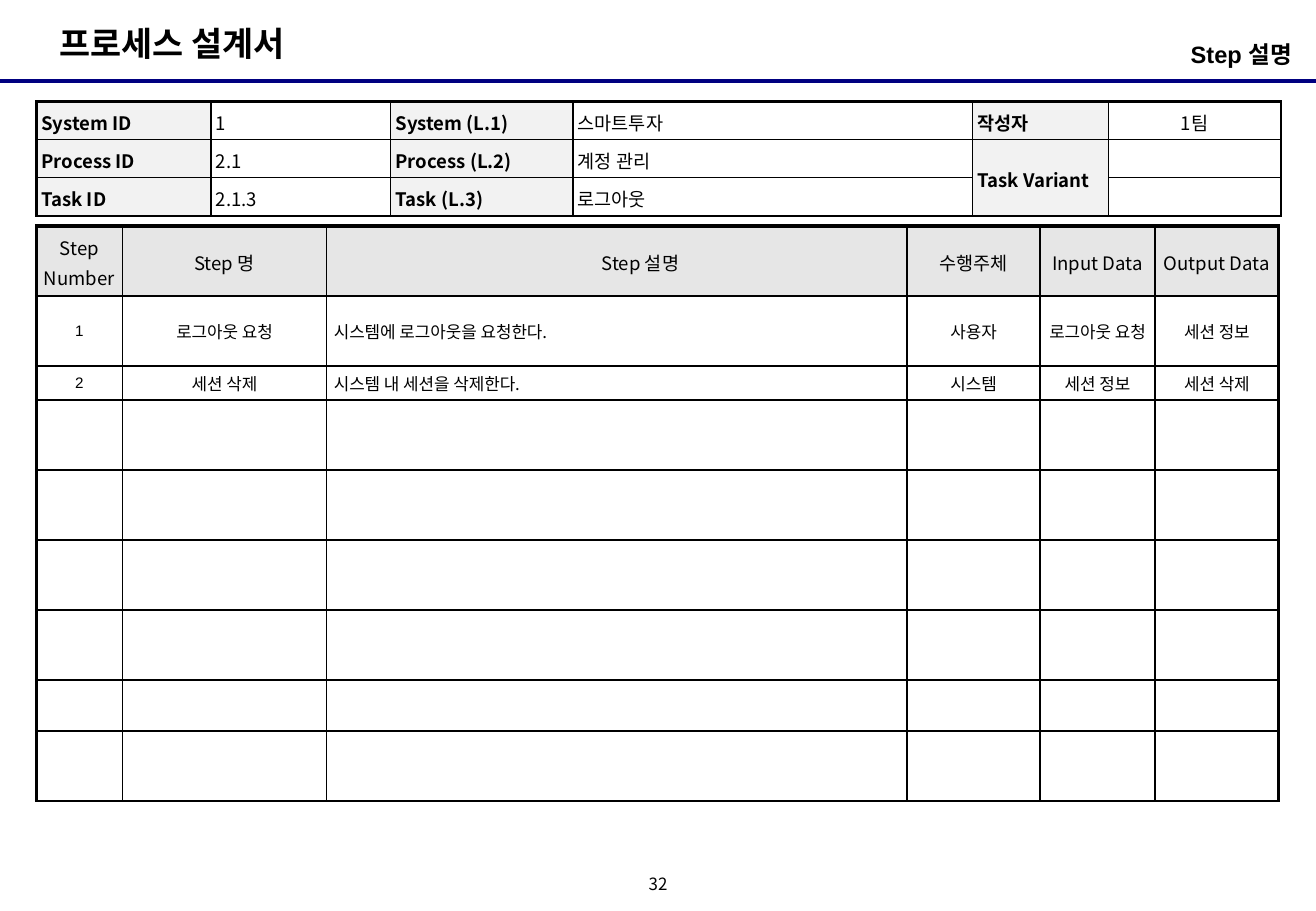
from lxml import etree
from pptx import Presentation
from pptx.dml.color import RGBColor
from pptx.enum.shapes import MSO_CONNECTOR
from pptx.enum.text import MSO_ANCHOR, MSO_AUTO_SIZE, PP_ALIGN
from pptx.oxml.ns import qn
from pptx.util import Pt

LEFT, CENTER, RIGHT = PP_ALIGN.LEFT, PP_ALIGN.CENTER, PP_ALIGN.RIGHT
TOP, MIDDLE = MSO_ANCHOR.TOP, MSO_ANCHOR.MIDDLE
NO_AUTOFIT = MSO_AUTO_SIZE.NONE
STRAIGHT = MSO_CONNECTOR.STRAIGHT

BLACK = RGBColor(0x00, 0x00, 0x00)
NAVY = RGBColor(0x00, 0x00, 0x80)
LABEL_GREY = RGBColor(0xF2, 0xF2, 0xF2)
HEADER_GREY = RGBColor(0xE6, 0xE6, 0xE6)

KOREAN_FONT = "Noto Sans CJK KR"
LATIN_FONT = "Arial"

PAGE_WIDTH, PAGE_HEIGHT = 780, 540
TABLE_LEFT = 21.6

INFO_COLUMNS = [103.5, 106.5, 108, 237, 80.5, 102]
INFO_ROWS = [22.5] * 3
INFO_TEXT = [
    ["System ID", "1", "System (L.1)", "스마트투자", "작성자", "1팀"],
    ["Process ID", "2.1", "Process (L.2)", "계정 관리", "Task Variant", ""],
    ["Task ID", "2.1.3", "Task (L.3)", "로그아웃", "", ""],
]

STEP_COLUMNS = [51, 121, 344, 79, 68, 73.5]
STEP_ROWS = [41.5, 41.5, 20.2] + [41.5] * 4 + [30.2, 41.5]
STEP_HEADERS = ["Step Number", "Step 명", "Step 설명", "수행주체", "Input Data", "Output Data"]
STEP_TEXT = [
    ["1", "로그아웃 요청", "시스템에 로그아웃을 요청한다.", "사용자", "로그아웃 요청", "세션 정보"],
    ["2", "세션 삭제", "시스템 내 세션을 삭제한다.", "시스템", "세션 정보", "세션 삭제"],
]


def write_text(frame, text, size=10, font=KOREAN_FONT, bold=False, align=LEFT,
               spacing=1.0, indent=0):
    para = frame.paragraphs[0]
    para.alignment = align
    para.line_spacing = spacing
    para.space_before = Pt(0)
    properties = para._p.get_or_add_pPr()
    properties.set("marL", str(Pt(indent)))
    properties.set("indent", "0")
    if not text:
        # An empty cell keeps its small text size
        etree.SubElement(para._p, qn("a:endParaRPr"), sz=str(size * 100))
        return
    etree.SubElement(properties, qn("a:buNone"))
    span = para.add_run()
    span.text = text
    span.font.size = Pt(size)
    span.font.bold = bold
    span.font.color.rgb = BLACK
    span.font.name = font
    etree.SubElement(span._r.get_or_add_rPr(), qn("a:ea"), typeface=KOREAN_FONT)


def place_box(box, left, top, width, height, insets, anchor=TOP):
    box.left, box.top, box.width, box.height = Pt(left), Pt(top), Pt(width), Pt(height)
    frame = box.text_frame
    frame.word_wrap = True
    frame.auto_size = NO_AUTOFIT
    frame.vertical_anchor = anchor
    (frame.margin_left, frame.margin_top,
     frame.margin_right, frame.margin_bottom) = map(Pt, insets)
    return frame


def add_rule(page, top):
    rule = page.shapes.add_connector(STRAIGHT, 0, Pt(top), Pt(PAGE_WIDTH), Pt(top))
    rule.line.color.rgb = NAVY
    rule.line.width = Pt(2.25)
    etree.SubElement(rule._element.spPr, qn("a:effectLst"))


def add_grid(page, top, columns, rows):
    frame = page.shapes.add_table(len(rows), len(columns), Pt(TABLE_LEFT), Pt(top),
                                  Pt(sum(columns)), Pt(sum(rows)))
    table = frame.table
    table.first_row = table.horz_banding = False
    for column, width in zip(table.columns, columns):
        column.width = Pt(width)
    for row, height in zip(table.rows, rows):
        row.height = Pt(height)
    return table


def set_borders(table, outer, bottom, inner):
    """Frame the table; inner holds one line width per column."""
    last_row, last_column = len(table.rows), len(table.columns)
    for row in range(last_row):
        for column in range(last_column):
            cell = table.cell(row, column)
            if cell.is_spanned:
                continue
            at_right = column + 1 == last_column
            at_bottom = row + cell.span_height == last_row
            widths = {
                "a:lnL": inner[column] if column else outer,
                "a:lnR": outer if at_right else inner[column + 1],
                "a:lnT": inner[column] if row else outer,
                "a:lnB": bottom if at_bottom else inner[column],
            }
            for tag, width in widths.items():
                line = etree.SubElement(cell._tc.get_or_add_tcPr(), qn(tag), w=str(Pt(width)))
                fill = etree.SubElement(line, qn("a:solidFill"))
                etree.SubElement(fill, qn("a:srgbClr"), val=str(BLACK))


def fill_cell(cell, text, fill=None, anchor=MIDDLE, side=4.3, edge=2.6, **text_format):
    cell.margin_left = cell.margin_right = Pt(side)
    cell.margin_top = cell.margin_bottom = Pt(edge)
    cell.vertical_anchor = anchor
    if fill is None:
        cell.fill.background()
    else:
        cell.fill.solid()
        cell.fill.fore_color.rgb = fill
    write_text(cell.text_frame, text, **text_format)


def add_info_table(page):
    table = add_grid(page, 60.2, INFO_COLUMNS, INFO_ROWS)
    table.cell(1, 4).merge(table.cell(2, 4))
    set_borders(table, outer=1.5, bottom=1.5, inner=[1] * 4 + [0.75] * 2)
    for row, texts in enumerate(INFO_TEXT):
        for column, text in enumerate(texts):
            is_label = column % 2 == 0
            fill_cell(table.cell(row, column), text, side=2.8, edge=2.5,
                      fill=LABEL_GREY if is_label else None,
                      anchor=MIDDLE if column >= 4 else TOP,
                      align=CENTER if column == 5 else LEFT,
                      size=11, bold=is_label, spacing=1.1)


def add_step_table(page):
    table = add_grid(page, 134, STEP_COLUMNS, STEP_ROWS)
    set_borders(table, outer=2.25, bottom=1, inner=[1] * 6)
    # Header row
    for column, text in enumerate(STEP_HEADERS):
        fill_cell(table.cell(0, column), text, fill=HEADER_GREY, size=11, align=CENTER,
                  spacing=1.1, indent=28 if column == 2 else 0)
    # Steps, then unused rows
    unused = [[""] * len(STEP_COLUMNS)] * (len(STEP_ROWS) - 1 - len(STEP_TEXT))
    for row, texts in enumerate(STEP_TEXT + unused, start=1):
        for column, text in enumerate(texts):
            is_number = column == 0
            fill_cell(table.cell(row, column), text, size=9 if is_number else 10,
                      font=LATIN_FONT if is_number else KOREAN_FONT,
                      align=LEFT if column == 2 else CENTER)


def main():
    deck = Presentation()
    deck.slide_width, deck.slide_height = Pt(PAGE_WIDTH), Pt(PAGE_HEIGHT)
    page = deck.slides.add_slide(deck.slide_layouts[1])

    # Heading
    add_rule(page, 48.2)
    title = place_box(page.shapes.title, 28, 9.4, 163, 31.7, (7.2, 3.6, 7.2, 3.6), MIDDLE)
    write_text(title, "프로세스 설계서", size=20, font=LATIN_FONT, bold=True)
    section = place_box(page.placeholders[1], 532, 20.2, 238.4, 28, (0, 3.6, 4.5, 3.6))
    write_text(section, "Step 설명", size=14, font=LATIN_FONT, bold=True, align=RIGHT)

    # Tables
    add_info_table(page)
    add_step_table(page)

    # Page number
    number_box = page.shapes.add_textbox(0, 0, 0, 0)
    number = place_box(number_box, 378, 516.2, 24, 18, (0, 0, 0, 0), MIDDLE)
    write_text(number, "32", align=CENTER, spacing=0.8)

    deck.save("out.pptx")


if __name__ == "__main__":
    main()
